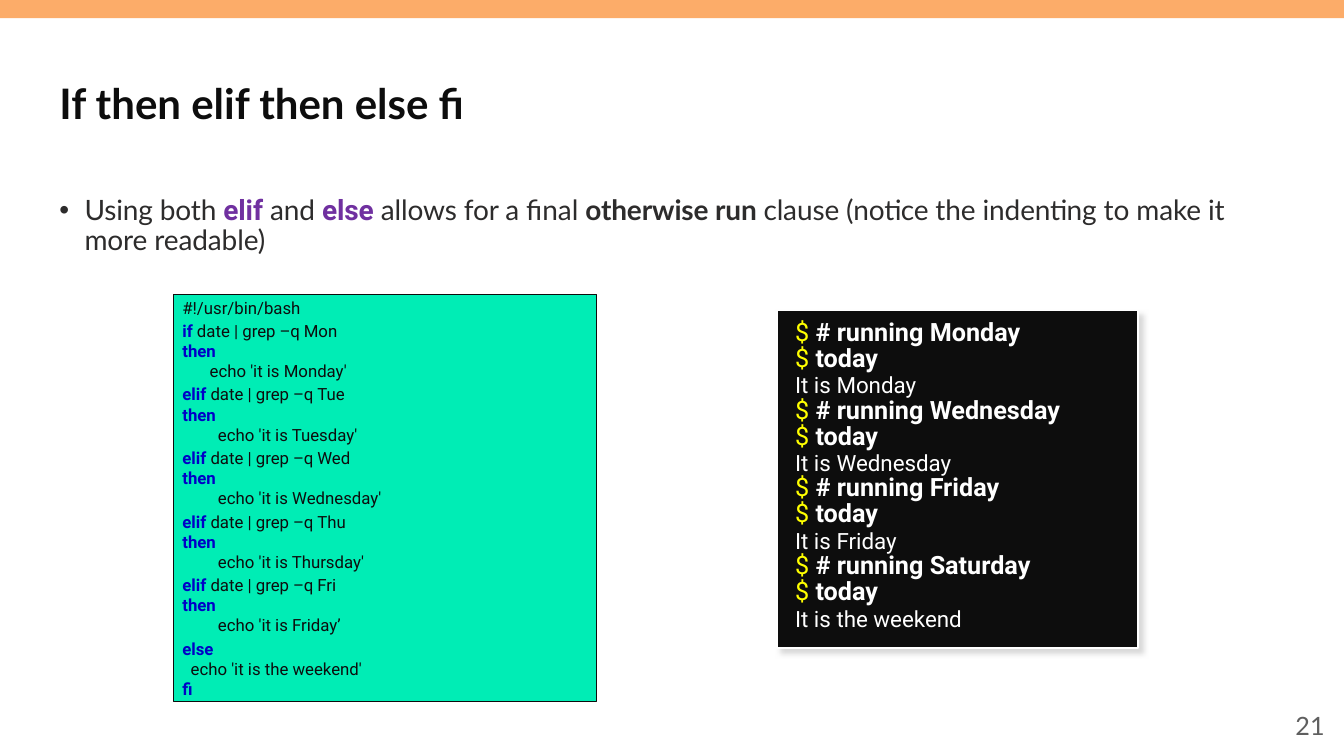
import pptx
import pptx.dml.color
import pptx.enum.shapes
import pptx.enum.text
import pptx.oxml
import pptx.oxml.ns
import pptx.util

Pt = pptx.util.Pt
ALIGN = pptx.enum.text.PP_ALIGN
ANCHOR = pptx.enum.text.MSO_ANCHOR


def colour(hex_string):
    """Return the colour for a hex string."""
    return pptx.dml.color.RGBColor.from_string(hex_string)


class Deck:
    """Hold the text styles and the current slide."""

    styles = {
        "title": ("Lato", 30, True, "0D0D0D", 0),
        "body": ("Lato", 20, False, "2D2C2C", -10),
        "strong": ("Lato", 20, True, "2D2C2C", -10),
        "term": ("Roboto", 20, True, "7030A0", -10),
        "number": ("Lato", 18, False, "5F5F5F", 0),
        "code": ("Roboto", 12, False, "0D0D0D", 0),
        "flag": ("Roboto", 12, False, "0D0D0D", -20),
        "keyword": ("Roboto", 12, True, "0000C7", 0),
        "prompt": ("Roboto", 18, False, "FFFF00", 0),
        "command": ("Roboto", 18, True, "FFFFFF", 0),
        "output": ("Roboto", 16, False, "FFFFFF", 0),
    }

    def __init__(self):
        """Start a wide presentation with one title-only slide."""
        self.file = pptx.Presentation()
        self.file.slide_width, self.file.slide_height = Pt(960), Pt(540)
        self.slide = self.file.slides.add_slide(self.file.slide_layouts[5])

    def fill_text(self, shape, paragraphs, anchor=ANCHOR.TOP, insets=(7.2, 3.6, 7.2, 3.6)):
        """Fill a shape with (runs, margin, formats) paragraphs."""
        frame = shape.text_frame
        frame_format = {"word_wrap": True, "vertical_anchor": anchor,
                        "auto_size": pptx.enum.text.MSO_AUTO_SIZE.NONE}
        for side, inset in zip(("left", "top", "right", "bottom"), insets):
            frame_format["margin_" + side] = Pt(inset)
        for key, value in frame_format.items():
            setattr(frame, key, value)
        for index, (runs, margin, formats) in enumerate(paragraphs):
            paragraph = frame.add_paragraph() if index else frame.paragraphs[0]
            properties = paragraph._p.get_or_add_pPr()
            properties.set("marL", str(Pt(margin)))
            properties.set("indent", "0")
            for key, value in ({"alignment": ALIGN.LEFT, "space_before": Pt(0)} | formats).items():
                setattr(paragraph, key, value)
            for text, style in runs:
                self.add_styled_run(paragraph, text, style)

    def add_styled_run(self, paragraph, text, style):
        """Add one styled run."""
        name, size, bold, ink, spacing = self.styles[style]
        run = paragraph.add_run()
        run.text = text
        for key, value in {"name": name, "size": Pt(size), "bold": bold}.items():
            setattr(run.font, key, value)
        run.font.color.rgb = colour(ink)
        if spacing:
            run._r.get_or_add_rPr().set("spc", str(spacing))

    def title(self, text, box):
        """Place and fill the title placeholder."""
        title = self.slide.shapes.title
        for key, value in zip(("left", "top", "width", "height"), box):
            setattr(title, key, Pt(value))
        self.fill_text(title, [([(text, "title")], 0, {})], ANCHOR.MIDDLE)

    def text(self, box, paragraphs, anchor=ANCHOR.TOP):
        """Add a text box."""
        textbox = self.slide.shapes.add_textbox(*map(Pt, box))
        self.fill_text(textbox, paragraphs, anchor)
        return textbox

    def bullet(self, box, runs):
        """Add a text box with one bulleted paragraph."""
        textbox = self.text(box, [([], 18, {"line_spacing": 0.9})])
        paragraph = textbox.text_frame.paragraphs[0]
        properties = paragraph._p.get_or_add_pPr()
        properties.set("indent", str(-Pt(18)))
        for tag, attribute, value in (("buFont", "typeface", "Arial"), ("buChar", "char", "•")):
            properties.append(pptx.oxml.parse_xml(
                f'<a:{tag} {pptx.oxml.ns.nsdecls("a")} {attribute}="{value}"/>'))
        for text, style in runs:
            self.add_styled_run(paragraph, text, style)

    def panel(self, box, fill, line=None):
        """Add a filled rectangle."""
        panel = self.slide.shapes.add_shape(
            pptx.enum.shapes.MSO_SHAPE.RECTANGLE, *map(Pt, box))
        panel.shadow.inherit = False
        panel.fill.solid()
        panel.fill.fore_color.rgb = colour(fill)
        if line:
            panel.line.color.rgb = colour(line)
            panel.line.width = Pt(1)
        else:
            panel.line.fill.background()
        return panel

    def cast_shadow(self, panel, ink):
        """Give a panel a soft shadow to its lower right."""
        effects = panel._element.spPr.find(pptx.oxml.ns.qn("a:effectLst"))
        effects.append(pptx.oxml.parse_xml(
            f'<a:outerShdw {pptx.oxml.ns.nsdecls("a")} blurRad="{Pt(4)}" dist="{Pt(4)}" '
            f'dir="2700000" algn="tl" rotWithShape="0"><a:srgbClr val="{ink}"/></a:outerShdw>'))


def script_lines():
    """Return the paragraphs of the shell script."""
    gap = {"space_before": Pt(2.2)}
    lines = [([("#!/usr/bin/bash", "code")], 6.5, {})]
    days = ("Monday", "Tuesday", "Wednesday", "Thursday", "Friday")
    for day in days:
        first = day == days[0]
        quote = "’" if day == days[-1] else "'"
        test = [("if " if first else "elif ", "keyword"), ("date | grep", "code"),
                (" –q ", "flag"), (day[:3], "code")]
        echo = f"{'' if first else '  '}echo 'it is {day}{quote}"
        lines += [(test, 6.5, gap), ([("then", "keyword")], 6.5, {}),
                  ([(echo, "code")], 26, {})]
    return lines + [([("else", "keyword")], 6.5, gap),
                    ([("  echo 'it is the weekend'", "code")], 6.5, {}),
                    ([("fi", "keyword")], 6.5, {})]


def session_lines():
    """Return the paragraphs of the terminal session."""
    answers = {"Monday": "Monday", "Wednesday": "Wednesday",
               "Friday": "Friday", "Saturday": "the weekend"}
    lines = []
    for day, answer in answers.items():
        lines += [[("$ ", "prompt"), (f"# running {day}", "command")],
                  [("$ ", "prompt"), ("today", "command")],
                  [(f"It is {answer}", "output")]]
    return [(runs, 5.75, {"line_spacing": Pt(18.5)}) for runs in lines]


def main():
    """Build and save the slide."""
    deck = Deck()
    deck.panel((0, 0, 960, 13), "FCAC69")
    deck.title("If then elif then else fi", (35.3, 39.6, 890, 67.7))
    deck.bullet((35.3, 136.8, 890, 342.7), [
        ("Using both ", "body"), ("elif", "term"), (" and ", "body"), ("else", "term"),
        (" allows for a final ", "body"), ("otherwise run ", "strong"),
        ("clause (notice the indenting to make it more readable)", "body")])
    deck.text((737.3, 504, 216, 28.8),
              [([("21", "number")], 0, {"alignment": ALIGN.RIGHT})], ANCHOR.MIDDLE)
    script = deck.panel((123.8, 210.2, 302.4, 290.9), "00EDB5", "0D0D0D")
    deck.fill_text(script, script_lines(), insets=(0, 2.2, 0, 0))
    terminal = deck.panel((555.1, 221.8, 257.8, 241.2), "0D0D0D", "FFFFFF")
    deck.cast_shadow(terminal, "DADADA")
    deck.fill_text(terminal, session_lines(), insets=(7.2, 7.2, 7.2, 4.3))
    deck.file.save("out.pptx")


if __name__ == "__main__":
    main()
